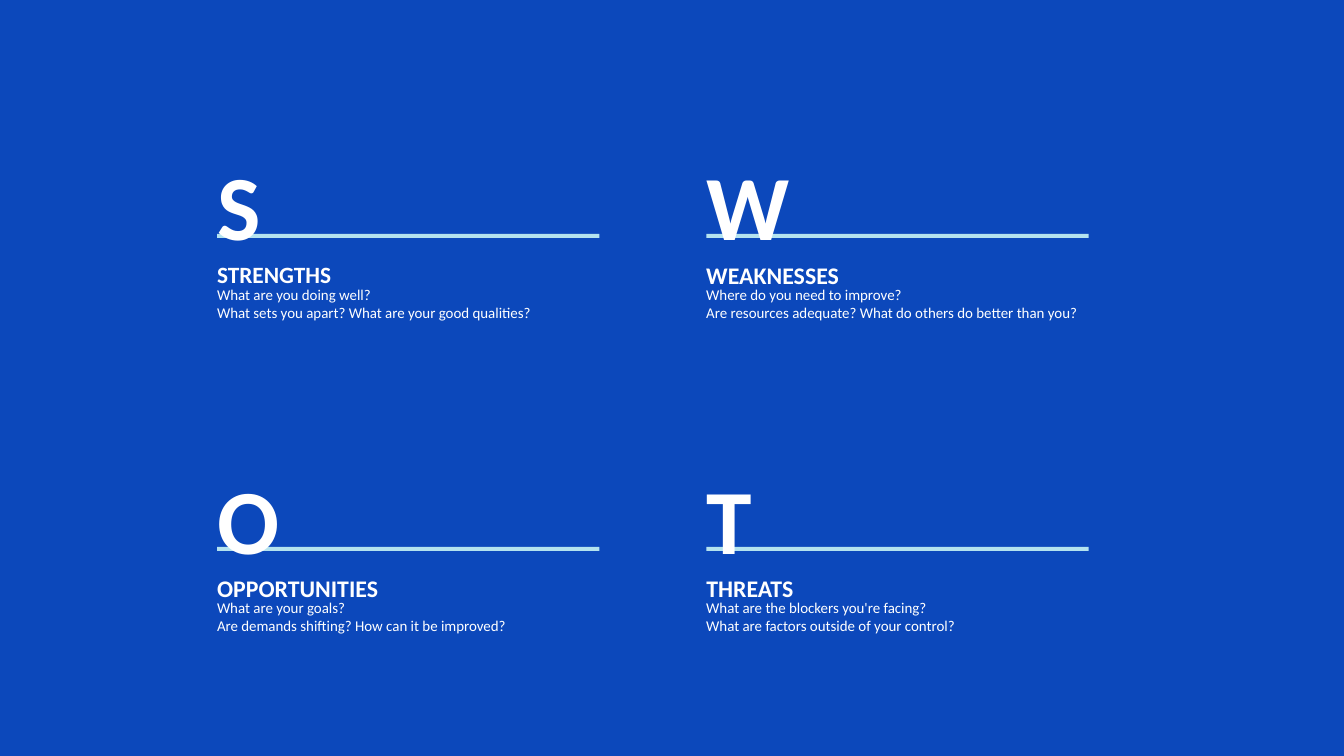
"""Build a SWOT slide with four quadrants on a grid of 20 columns by 11.25 rows."""
from dataclasses import dataclass

from pptx import Presentation
from pptx import util as u
from pptx.dml.color import RGBColor
from pptx.enum import shapes, text
from pptx.slide import Slide

COLUMNS, ROWS = 20, 11.25
CELL = u.Inches(1)
LEFT, TOP = 3.23, 1.4
COLUMN_STEP, ROW_STEP = 7.28, 4.66
RULE_OFFSET, HEADING_OFFSET, QUESTIONS_OFFSET = 2.08, 2.26, 2.85

BLUE = RGBColor(0x0C, 0x48, 0xBB)
AQUA = RGBColor(0xB4, 0xE3, 0xEF)
WHITE = RGBColor(0xFF, 0xFF, 0xFF)


@dataclass(frozen=True)
class Area:
    """Place and size in grid columns and rows."""
    left: float
    top: float
    width: float
    height: float

    def lengths(self) -> list[int]:
        return [round(cells * CELL)
                for cells in (self.left, self.top, self.width, self.height)]


@dataclass(frozen=True)
class Quadrant:
    """One SWOT topic with its place in the two-by-two layout."""
    column: int
    row: int
    heading: str
    questions: tuple[str, ...]
    heading_width: float
    questions_width: float
    heading_size: float = 25.5
    align: text.PP_ALIGN = text.PP_ALIGN.LEFT


QUADRANTS = (
    Quadrant(0, 0, "STRENGTHS",
             ("What are you doing well?",
              "What sets you apart? What are your good qualities?"),
             2.48, 5.09, heading_size=25),
    Quadrant(0, 1, "OPPORTUNITIES",
             ("What are your goals?",
              "Are demands shifting? How can it be improved?"),
             3.49, 4.8, align=text.PP_ALIGN.JUSTIFY),
    Quadrant(1, 0, "WEAKNESSES",
             ("Where do you need to improve?",
              "Are resources adequate? What do others do better than you?"),
             3.5, 6.23),
    Quadrant(1, 1, "THREATS",
             ("What are the blockers you're facing?",
              "What are factors outside of your control?"),
             1.85, 4.8),
)


def add_text(slide: Slide, area: Area, lines: tuple[str, ...], size: float,
             align: text.PP_ALIGN, bold: bool = False, spacing: float = 1.0) -> None:
    """Add a white text box without margins."""
    frame = slide.shapes.add_textbox(*area.lengths()).text_frame
    frame_format = {"margin_left": 0, "margin_top": 0, "margin_right": 0,
                    "margin_bottom": 0, "word_wrap": True,
                    "auto_size": text.MSO_AUTO_SIZE.SHAPE_TO_FIT_TEXT}
    for name, value in frame_format.items():
        setattr(frame, name, value)
    frame.text = "\n".join(lines)
    font_format = {"name": "Calibri", "size": u.Pt(size), "bold": bold}
    for paragraph in frame.paragraphs:
        paragraph.alignment = align
        paragraph.line_spacing = spacing
        font = paragraph.runs[0].font
        for name, value in font_format.items():
            setattr(font, name, value)
        font.color.rgb = WHITE


def add_rule(slide: Slide, area: Area) -> None:
    """Add the aqua bar under an initial."""
    rule = slide.shapes.add_shape(shapes.MSO_SHAPE.RECTANGLE, *area.lengths())
    rule.shadow.inherit = False
    rule.fill.solid()
    rule.fill.fore_color.rgb = AQUA
    rule.line.fill.background()


def add_quadrant(slide: Slide, topic: Quadrant) -> None:
    """Draw heading, questions, rule and initial of one topic."""
    left = LEFT + topic.column * COLUMN_STEP
    top = TOP + topic.row * ROW_STEP
    add_text(slide, Area(left, top + HEADING_OFFSET, topic.heading_width, 0.5),
             (topic.heading,), topic.heading_size, topic.align, True, 1.5)
    add_text(slide, Area(left, top + QUESTIONS_OFFSET, topic.questions_width, 0.54),
             topic.questions, 16, topic.align)
    add_rule(slide, Area(left, top + RULE_OFFSET, 5.69, 0.06))
    add_text(slide, Area(left, top, 0.72, 1.93), (topic.heading[0],),
             98.3, topic.align, True, 1.5)


def main() -> None:
    """Create and save the presentation."""
    deck = Presentation()
    deck.slide_width, deck.slide_height = round(COLUMNS * CELL), round(ROWS * CELL)
    slide = deck.slides.add_slide(deck.slide_layouts[6])
    slide.background.fill.solid()
    slide.background.fill.fore_color.rgb = BLUE
    for topic in QUADRANTS:
        add_quadrant(slide, topic)
    deck.save("out.pptx")


if __name__ == "__main__":
    main()
